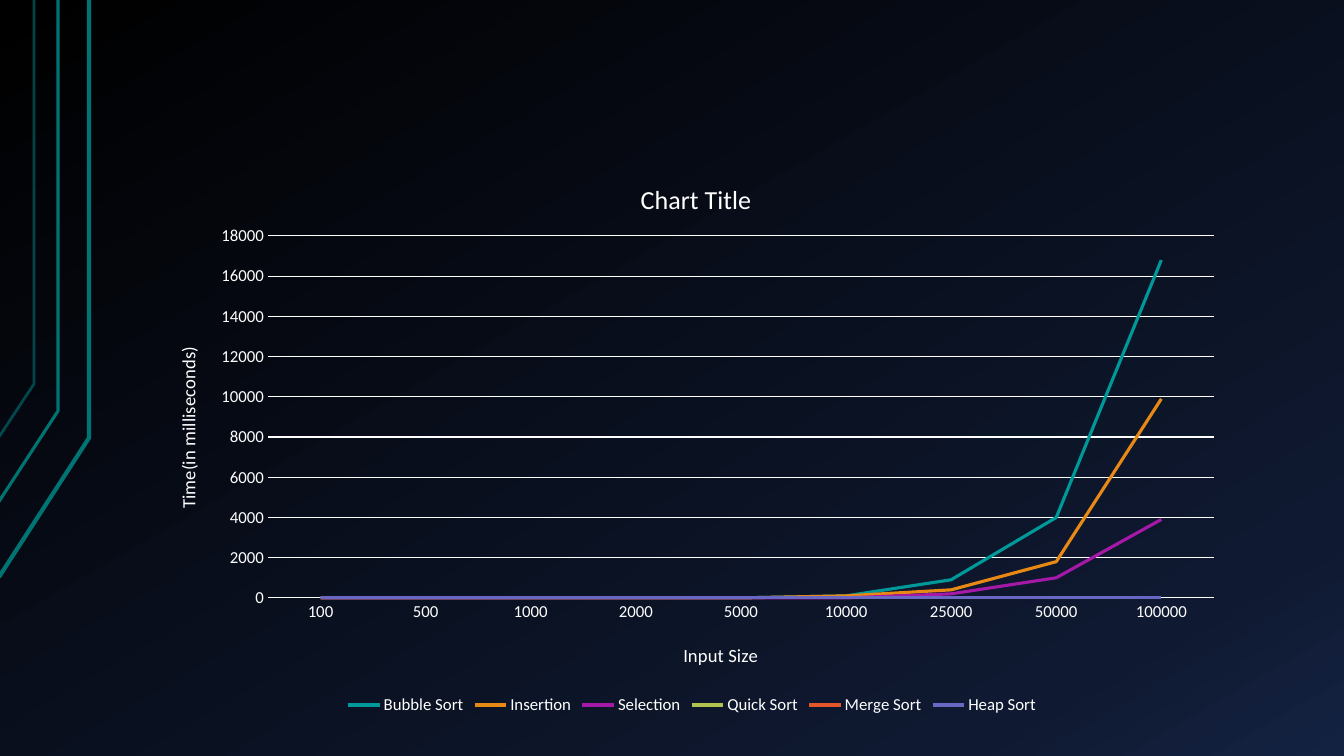
"""Build a slide with a line chart of sorting times by input size."""
import lxml.etree
import pptx
import pptx.chart.data
import pptx.dml.color
import pptx.enum.chart
import pptx.oxml
import pptx.oxml.ns
import pptx.util

RGB = pptx.dml.color.RGBColor
CHART = pptx.enum.chart
qn = pptx.oxml.ns.qn

PX = 914400 / 100.8
FONT = "Calibri"
WHITE = RGB(0xFF, 0xFF, 0xFF)
DARK_TEAL = RGB(0x00, 0x73, 0x73)
BLACK = RGB(0x00, 0x00, 0x00)
NAVY = RGB(0x0F, 0x19, 0x31)
BLUE = RGB(0x14, 0x22, 0x42)
TEAL = RGB(0x00, 0x99, 0x99)
ORANGE = RGB(0xE9, 0x89, 0x15)
PURPLE = RGB(0xA4, 0x19, 0xA7)
LIME = RGB(0xAF, 0xC3, 0x4D)
RED = RGB(0xE5, 0x57, 0x2B)
VIOLET = RGB(0x68, 0x68, 0xC4)

CHART_BOX = (148, 149, 1088, 570)
SIZES = ["100", "500", "1000", "2000", "5000", "10000", "25000", "50000", "100000"]
SORTS = [
    ("Bubble Sort", TEAL, [0, 0, 0, 0, 0, 100, 900, 4000, 16800]),
    ("Insertion", ORANGE, [0, 0, 0, 0, 0, 100, 400, 1800, 9900]),
    ("Selection", PURPLE, [0, 0, 0, 0, 0, 0, 200, 1000, 3900]),
    ("Quick Sort", LIME, [0] * 9),
    ("Merge Sort", RED, [0] * 9),
    ("Heap Sort", VIOLET, [0] * 9),
]


def emu(px):
    return pptx.util.Emu(round(px * PX))


def set_background(s, stops):
    fill = s.background.fill
    fill.gradient()
    fill.gradient_angle = 300
    gs_list = s.background._cSld.find(".//" + qn("a:gsLst"))
    for gs in list(gs_list):
        gs_list.remove(gs)
    for percent, color in stops:
        gs = lxml.etree.SubElement(gs_list, qn("a:gs"), pos=str(percent * 1000))
        lxml.etree.SubElement(gs, qn("a:srgbClr"), val=str(color))


def add_trace(s, points, width, opacity):
    builder = s.shapes.build_freeform(*points[0], scale=PX)
    builder.add_line_segments(points[1:], close=False)
    sp = builder.convert_to_shape()
    sp.shadow.inherit = False
    sp.fill.background()
    sp.line.color.rgb = DARK_TEAL
    sp.line.width = pptx.util.Pt(width)
    if opacity < 100:
        color = sp.line._ln.find(".//" + qn("a:srgbClr"))
        lxml.etree.SubElement(color, qn("a:alpha"), val=str(opacity * 1000))


def style_font(font, size):
    font.name = FONT
    font.size = pptx.util.Pt(size)
    font.bold = False
    font.color.rgb = WHITE


def place(element, index, left, top, size=None):
    for old in element.findall(qn("c:layout")):
        element.remove(old)
    layout = pptx.oxml.parse_xml(
        "<c:layout %s><c:manualLayout/></c:layout>" % pptx.oxml.ns.nsdecls("c"))
    x, y, w, h = CHART_BOX
    settings = [("xMode", "edge"), ("yMode", "edge"),
                ("x", (left - x) / w), ("y", (top - y) / h)]
    if size:
        settings.insert(0, ("layoutTarget", "inner"))
        settings += [("w", size[0] / w), ("h", size[1] / h)]
    for name, value in settings:
        lxml.etree.SubElement(layout[0], qn("c:" + name), val=str(value))
    element.insert(index, layout)


def write_title(title, text, size, left, top):
    tf = title.text_frame
    r = tf.paragraphs[0].add_run()
    r.text = text
    style_font(r.font, size)
    place(title._element, 1, left, top)
    return tf


def style_axis(axis):
    axis.major_tick_mark = CHART.XL_TICK_MARK.NONE
    axis.minor_tick_mark = CHART.XL_TICK_MARK.NONE
    style_font(axis.tick_labels.font, 12)


def style_line(line, color, width):
    line.color.rgb = color
    line.width = pptx.util.Pt(width)


def add_sort_chart(s):
    data = pptx.chart.data.CategoryChartData()
    data.categories = SIZES
    for name, _, values in SORTS:
        data.add_series(name, values)
    box = [emu(v) for v in CHART_BOX]
    chart = s.shapes.add_chart(CHART.XL_CHART_TYPE.LINE, *box, data).chart
    style_font(chart.font, 10)

    plot = chart.plots[0]
    plot.vary_by_categories = False
    for series, (_, color, _) in zip(plot.series, SORTS):
        series.smooth = False
        style_line(series.format.line, color, 2.25)
    place(plot._element.getparent(), 0, 268, 236, (946, 362))

    cat, val = chart.category_axis, chart.value_axis
    style_axis(cat)
    style_axis(val)
    style_line(cat.format.line, WHITE, 0.75)
    val.format.line.fill.background()
    val.minimum_scale, val.maximum_scale, val.major_unit = 0, 18000, 2000
    style_line(val.major_gridlines.format.line, WHITE, 0.75)

    chart.has_title = True
    write_title(chart.chart_title, "Chart Title", 18.6, 636, 176)
    write_title(cat.axis_title, "Input Size", 13.3, 680, 639)
    tf = write_title(val.axis_title, "Time(in milliseconds)", 13.3, 172, 343)
    tf._txBody.bodyPr.set("rot", "-5400000")
    tf._txBody.bodyPr.set("vert", "horz")

    chart.has_legend = True
    chart.legend.position = CHART.XL_LEGEND_POSITION.BOTTOM
    chart.legend.include_in_layout = False
    style_font(chart.legend.font, 12)


def main():
    prs = pptx.Presentation()
    prs.slide_width, prs.slide_height = emu(1344), emu(756)
    s = prs.slides.add_slide(prs.slide_layouts[6])
    set_background(s, [(0, BLACK), (85, NAVY), (100, BLUE)])
    add_trace(s, [(-1, 577), (89, 438), (89, 0)], 3, 100)
    add_trace(s, [(-2, 503), (58, 411), (58, 0)], 2.25, 100)
    add_trace(s, [(-1, 437), (34, 384), (34, 0)], 2, 60)
    add_sort_chart(s)
    prs.save("out.pptx")


if __name__ == "__main__":
    main()
